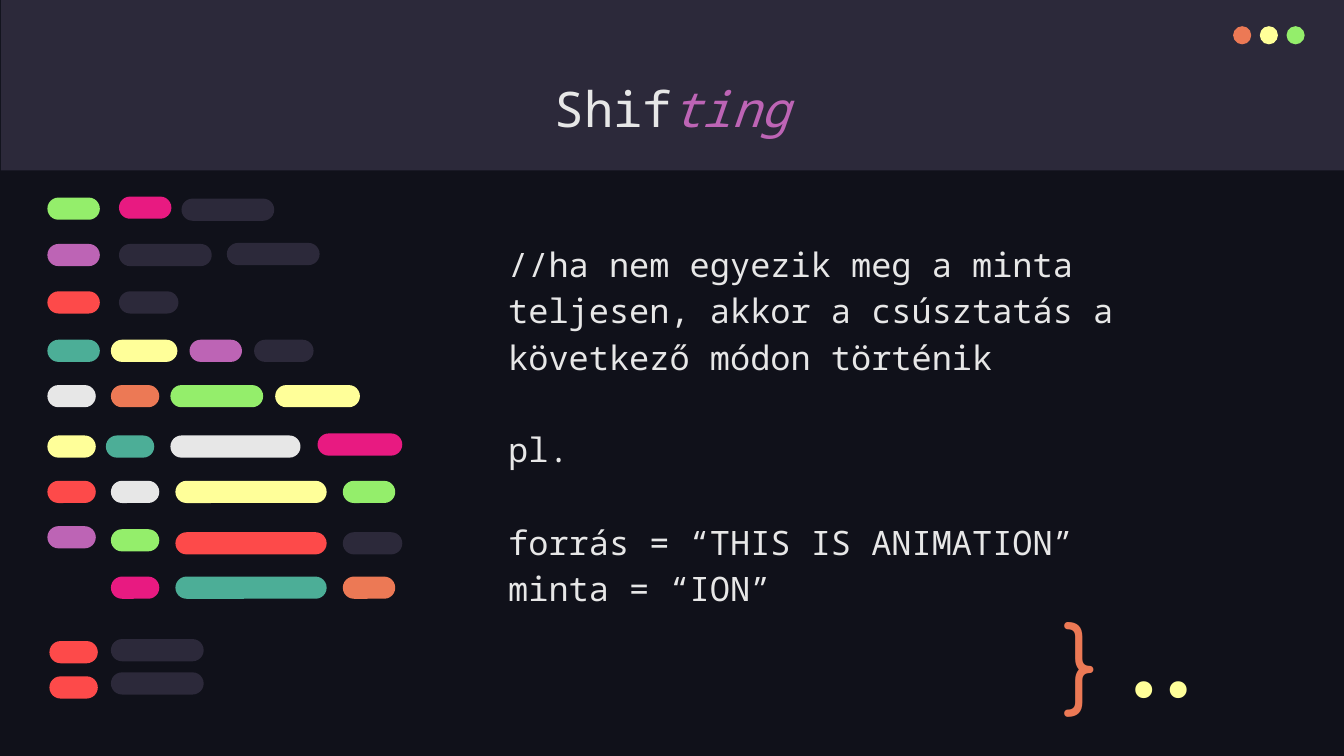
from pptx import Presentation
from pptx.dml.color import RGBColor
from pptx.enum.shapes import MSO_SHAPE
from pptx.enum.text import MSO_ANCHOR, PP_ALIGN
from pptx.util import Inches, Pt

NIGHT, PANEL, WHITE = "10111A", "2C293A", "E7E7E7"
ORANGE, YELLOW, GREEN = "EC7955", "FFFF99", "94EE6B"
PURPLE, PINK, RED, TEAL = "BD64B5", "E81A81", "FD4A4A", "4CAE97"
MONO = "Noto Sans Mono"
BAR_HEIGHT = 0.22

CODE_ROWS = [
    [(0, 0.01, 0.52, GREEN), (0.71, 0, 0.52, PINK), (1.33, 0.02, 0.92, PANEL)],
    [(0, 0.47, 0.52, PURPLE), (0.71, 0.47, 0.92, PANEL), (1.78, 0.46, 0.92, PANEL)],
    [(0, 0.94, 0.52, RED), (0.71, 0.94, 0.59, PANEL)],
    [(0, 1.42, 0.52, TEAL), (0.63, 1.42, 0.66, YELLOW),
     (1.41, 1.42, 0.52, PURPLE), (2.05, 1.42, 0.59, PANEL)],
    [(0, 1.87, 0.48, WHITE), (0.63, 1.87, 0.48, ORANGE),
     (1.22, 1.87, 0.92, GREEN), (2.26, 1.87, 0.84, YELLOW)],
    [(0, 2.37, 0.48, YELLOW), (0.58, 2.37, 0.48, TEAL),
     (1.22, 2.37, 1.29, WHITE), (2.68, 2.35, 0.84, PINK)],
    [(0, 2.82, 0.48, RED), (0.63, 2.82, 0.48, WHITE),
     (1.27, 2.82, 1.5, YELLOW), (2.93, 2.82, 0.52, GREEN)],
    [(0, 3.27, 0.48, PURPLE), (0.63, 3.3, 0.48, GREEN),
     (1.27, 3.33, 1.5, RED), (2.93, 3.33, 0.59, PANEL)],
    [(0.63, 3.77, 0.48, PINK), (1.27, 3.77, 1.5, TEAL), (2.93, 3.77, 0.52, ORANGE)],
    [(0.02, 4.41, 0.48, RED), (0.63, 4.39, 0.92, PANEL)],
    [(0.02, 4.76, 0.48, RED), (0.63, 4.72, 0.92, PANEL)],
]


def color(value):
    return RGBColor.from_string(value)


def apply_format(target, values):
    for name, value in values.items():
        setattr(target, name, value)


def add_filled(slide, preset, left, top, width, height, fill):
    shape = slide.shapes.add_shape(
        preset, Inches(left), Inches(top), Inches(width), Inches(height))
    shape.shadow.inherit = False
    shape.fill.solid()
    shape.fill.fore_color.rgb = color(fill)
    shape.line.fill.background()
    return shape


def add_text_frame(slide, left, top, width, height, anchor=MSO_ANCHOR.TOP):
    frame = slide.shapes.add_textbox(
        Inches(left), Inches(top), Inches(width), Inches(height)).text_frame
    margins = ("margin_left", "margin_top", "margin_right", "margin_bottom")
    apply_format(frame, dict.fromkeys(margins, Inches(0.13)))
    apply_format(frame, {"word_wrap": True, "vertical_anchor": anchor})
    return frame


def add_run(paragraph, text, size, font, fill, italic=False):
    run = paragraph.add_run()
    run.text = text
    apply_format(run.font, {"size": Pt(size), "name": font, "italic": italic})
    run.font.color.rgb = color(fill)


def add_header(slide, left, top, width, height):
    add_filled(slide, MSO_SHAPE.RECTANGLE, left, top, width, height, PANEL)
    for index, fill in enumerate((ORANGE, YELLOW, GREEN)):
        add_filled(slide, MSO_SHAPE.OVAL, left + 12.22 + index * 0.265,
                   top + 0.26, 0.18, 0.18, fill)
    paragraph = add_text_frame(slide, left + 1.04, top + 0.65, 11.24, 0.84).paragraphs[0]
    paragraph.alignment = PP_ALIGN.CENTER
    add_run(paragraph, "Shif", 35, MONO, WHITE)
    add_run(paragraph, "ting", 35, MONO, PURPLE, italic=True)


def add_code_bars(slide, left, top):
    for row in CODE_ROWS:
        for bar_left, bar_top, bar_width, fill in row:
            bar = add_filled(slide, MSO_SHAPE.ROUNDED_RECTANGLE, left + bar_left,
                             top + bar_top, bar_width, BAR_HEIGHT, fill)
            bar.adjustments[0] = 0.5


def add_explanation(slide, left, top, width, height):
    frame = add_text_frame(slide, left, top, width, height)
    lines = [
        ("//ha nem egyezik meg a minta teljesen, akkor a csúsztatás a "
         "következő módon történik", 0),
        ("pl.", 33),
        ("forrás = “THIS IS ANIMATION”", 33),
        ("minta = “ION”", 0),
    ]
    for index, (text, gap) in enumerate(lines):
        paragraph = frame.add_paragraph() if index else frame.paragraphs[0]
        properties = paragraph._p.get_or_add_pPr()
        properties.set("marL", str(Inches(0.67)))
        properties.set("indent", "0")
        paragraph.line_spacing = 1.15
        if gap:
            paragraph.space_before = Pt(gap)
        add_run(paragraph, text, 24, MONO, WHITE)


def add_closing_marks(slide, left, top):
    brace = add_text_frame(slide, left, top, 0.76, 1.11).paragraphs[0]
    add_run(brace, "}", 66.7, "Comfortaa", ORANGE)
    dots = add_text_frame(slide, left + 0.38, top + 0.31, 1.42, 0.8,
                          MSO_ANCHOR.MIDDLE).paragraphs[0]
    dots.alignment = PP_ALIGN.RIGHT
    add_run(dots, "..", 66.7, "Fira Code", YELLOW)


def main():
    presentation = Presentation()
    apply_format(presentation, {"slide_width": Inches(13.33), "slide_height": Inches(7.5)})
    slide = presentation.slides.add_slide(presentation.slide_layouts[6])
    slide.background.fill.solid()
    slide.background.fill.fore_color.rgb = color(NIGHT)
    add_header(slide, 0.01, 0, 13.33, 1.69)
    add_code_bars(slide, 0.47, 1.95)
    add_explanation(slide, 4.24, 2.23, 8.05, 4.48)
    add_closing_marks(slide, 10.42, 5.84)
    presentation.save("out.pptx")


if __name__ == "__main__":
    main()
